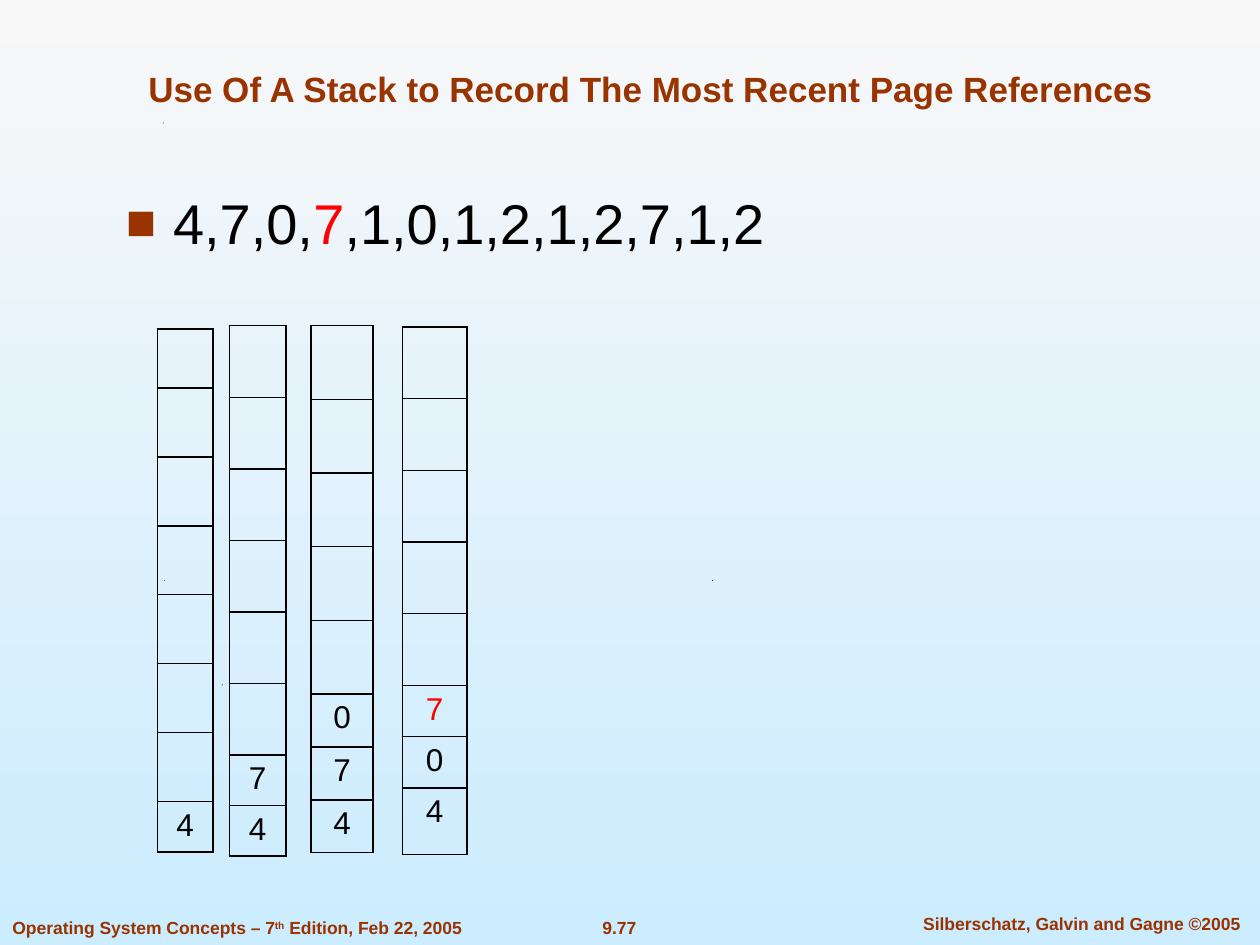
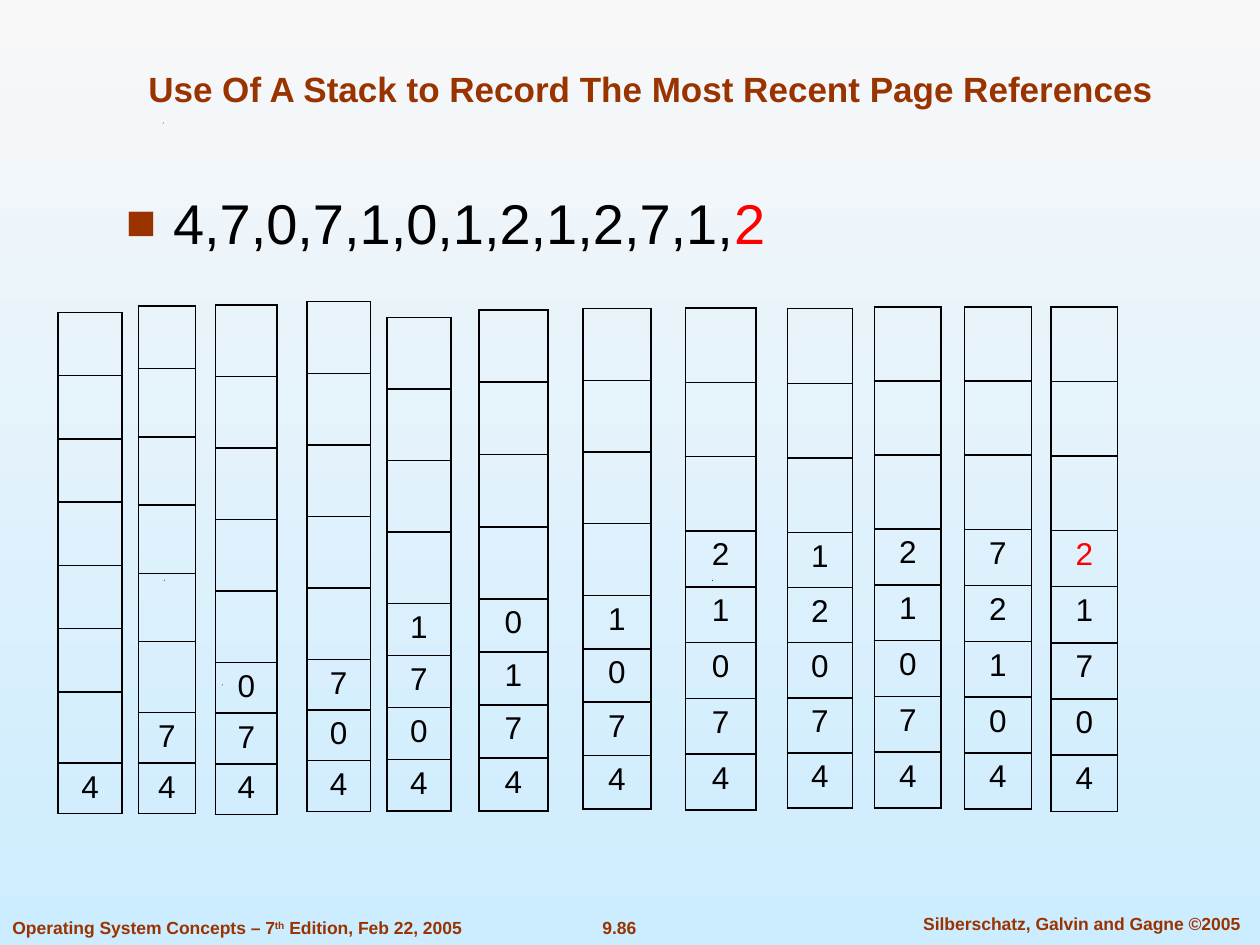
import dataclasses

import pptx
import pptx.dml.color
import pptx.enum.text
import pptx.oxml
import pptx.oxml.ns
import pptx.util

Align = pptx.enum.text.PP_ALIGN
Anchor = pptx.enum.text.MSO_ANCHOR


@dataclasses.dataclass(frozen=True)
class Theme:
    font: str = "Arial"
    rust: str = "993300"
    ink: str = "000000"
    mark: str = "FF0000"
    sky: tuple = ("F8F8F8", "CCECFF")
    head: int = 20
    body: int = 32
    cell: int = 18
    foot: int = 10
    line: int = 1


THEME = Theme()
COLS, ROWS = 100, 75
WIDTH, HEIGHT = pptx.util.Inches(10), pptx.util.Inches(7.5)
DEPTH = 8
REFS = "4707101212712"
TITLE = "Use Of A Stack to Record The Most Recent Page References"

# Left, top, width, free row, used row, and rows of another height.
FIRST = [
    (12.5, 26.1, 4.4, 5.47, 4, {0: 4.7}),
    (18.2, 25.85, 4.5, 5.68, 4, {}),
    (24.7, 25.85, 4.9, 5.85, 4.2, {}),
    (31.95, 25.95, 5.1, 5.69, 4.07, {7: 5.3}),
]
LAST = [
    (4.6, 24.8, 5.1, 5.02, 4, {6: 5.65}),
    (11, 24.3, 4.5, 5.42, 4, {0: 4.95, 5: 5.65}),
    (17.1, 24.2, 4.9, 5.68, 4.02, {}),
    (24.35, 23.95, 5.05, 5.68, 4.02, {}),
    (30.7, 25.2, 5.1, 5.68, 4.12, {}),
    (38, 24.6, 5.5, 5.74, 4.21, {}),
    (46.25, 24.5, 5.4, 5.69, 4.24, {}),
    (54.4, 24.45, 5.6, 5.9, 4.43, {}),
    (62.5, 24.5, 5.15, 5.92, 4.38, {}),
    (69.4, 24.35, 5.3, 5.88, 4.43, {}),
    (76.55, 24.35, 5.3, 5.89, 4.44, {}),
    (83.4, 24.35, 5.3, 5.92, 4.46, {}),
]
SPECKS = [(17.6, 54.3), (13, 46), (56.5, 46), (12.9, 9.7)]


def rgb(code):
    return pptx.dml.color.RGBColor.from_string(code)


def col(count):
    return round(WIDTH * count / COLS)


def row(count):
    return round(HEIGHT * count / ROWS)


def write(frame, *runs, size, color=THEME.ink, bold=False, align=Align.LEFT):
    """Fill the first paragraph; a run is text, or text with a dict of changes."""
    para = frame.paragraphs[0]
    para.alignment = align
    for item in runs:
        text, change = (item, {}) if isinstance(item, str) else item
        run = para.add_run()
        run.text = text
        run.font.name = THEME.font
        run.font.size = pptx.util.Pt(size)
        run.font.bold = bold
        run.font.color.rgb = rgb(change.get("color", color))
        if "raise" in change:
            run.font._element.set("baseline", str(change["raise"] * 1000))
    return para


def box(slide, place, *runs, wrap=True, anchor=Anchor.TOP, **style):
    left, top, width, height = place
    shape = slide.shapes.add_textbox(col(left), row(top), col(width), row(height))
    frame = shape.text_frame
    frame.word_wrap = wrap
    frame.vertical_anchor = anchor
    return write(frame, *runs, **style)


def bullet(para):
    props = para._p.get_or_add_pPr()
    indent = col(3.75)
    props.set("marL", str(indent))
    props.set("indent", str(-indent))
    space = pptx.oxml.ns.nsdecls("a")
    for part in (
        f'<a:buClr {space}><a:srgbClr val="{THEME.rust}"/></a:buClr>',
        f'<a:buSzPct {space} val="90000"/>',
        f'<a:buFont {space} typeface="{THEME.font}"/>',
        f'<a:buChar {space} char="■"/>',
    ):
        props.append(pptx.oxml.parse_xml(part))


def border(cell):
    props = cell._tc.get_or_add_tcPr()
    space = pptx.oxml.ns.nsdecls("a")
    for spot, side in enumerate("LRTB"):
        props.insert(spot, pptx.oxml.parse_xml(
            f'<a:ln{side} {space} w="{pptx.util.Pt(THEME.line)}"><a:solidFill>'
            f'<a:srgbClr val="{THEME.ink}"/></a:solidFill></a:ln{side}>'))


def speck(slide, left, top):
    side = col(0.1)
    form = slide.shapes.build_freeform(col(left), row(top) + side)
    form.add_line_segments([(col(left) + side, row(top)),
                            (col(left) + side // 2, row(top) + side)])
    shape = form.convert_to_shape()
    shape.shadow.inherit = False
    shape.fill.solid()
    shape.fill.fore_color.rgb = rgb(THEME.ink)
    shape.line.fill.background()


def stack(step):
    """Pages from the most to the least recent after the given reference."""
    return list(dict.fromkeys(reversed(REFS[:step + 1])))


def tower(slide, place, pages, fresh):
    left, top, width, free, used, other = place
    gap = DEPTH - len(pages)
    sizes = [other.get(i, free if i < gap else used) for i in range(DEPTH)]
    frame = slide.shapes.add_table(DEPTH, 1, col(left), row(top),
                                   col(width), row(sum(sizes)))
    table = frame.table
    table.first_row = table.horz_banding = False
    table.columns[0].width = col(width)
    for i, size in enumerate(sizes):
        table.rows[i].height = row(size)
        cell = table.cell(i, 0)
        cell.fill.background()
        border(cell)
        if i >= gap:
            color = THEME.mark if fresh and i == gap else THEME.ink
            write(cell.text_frame, pages[i - gap], size=THEME.cell,
                  color=color, align=Align.CENTER)


def base(deck, number):
    """Add a slide with the shared background, title and footers."""
    slide = deck.slides.add_slide(deck.slide_layouts[6])
    fill = slide.background.fill
    fill.gradient()
    fill.gradient_angle = 270
    for stop, code in zip(fill.gradient_stops, THEME.sky):
        stop.color.rgb = rgb(code)
    for spot in SPECKS:
        speck(slide, *spot)
    rust = dict(color=THEME.rust, bold=True)
    foot = dict(rust, size=THEME.foot)
    box(slide, (46.7, 72.3, 4.9, 2.7), number, wrap=False,
        align=Align.CENTER, **foot)
    box(slide, (71, 72, 29.7, 2.7), "Silberschatz, Galvin and Gagne ©2005",
        align=Align.CENTER, **foot)
    box(slide, (0, 72.3, 37.8, 2.7), "Operating System Concepts – 7",
        ("th", {"raise": 30}), " Edition, Feb 22, 2005", wrap=False, **foot)
    box(slide, (7.5, 2.5, 88.3, 6.7), TITLE, anchor=Anchor.BOTTOM,
        size=THEME.head, align=Align.CENTER, **rust)
    return slide


def trace(deck, number, places, steps):
    """Show the stack after each step and mark the last reference."""
    slide = base(deck, number)
    now = steps[-1]
    before = "".join(page + "," for page in REFS[:now])
    after = "".join("," + page for page in REFS[now + 1:])
    runs = [before, (REFS[now], {"color": THEME.mark})] + [after] * bool(after)
    bullet(box(slide, (9, 14, 80.4, 7.3), *runs, anchor=Anchor.MIDDLE,
               size=THEME.body))
    for place, step in zip(places, steps):
        tower(slide, place, stack(step), step == now)


def main():
    deck = pptx.Presentation()
    deck.slide_width, deck.slide_height = WIDTH, HEIGHT
    trace(deck, "9.77", FIRST, [0, 1, 2, 3])
    trace(deck, "9.86", LAST, [*range(11), 12])
    deck.save("out.pptx")


if __name__ == "__main__":
    main()
